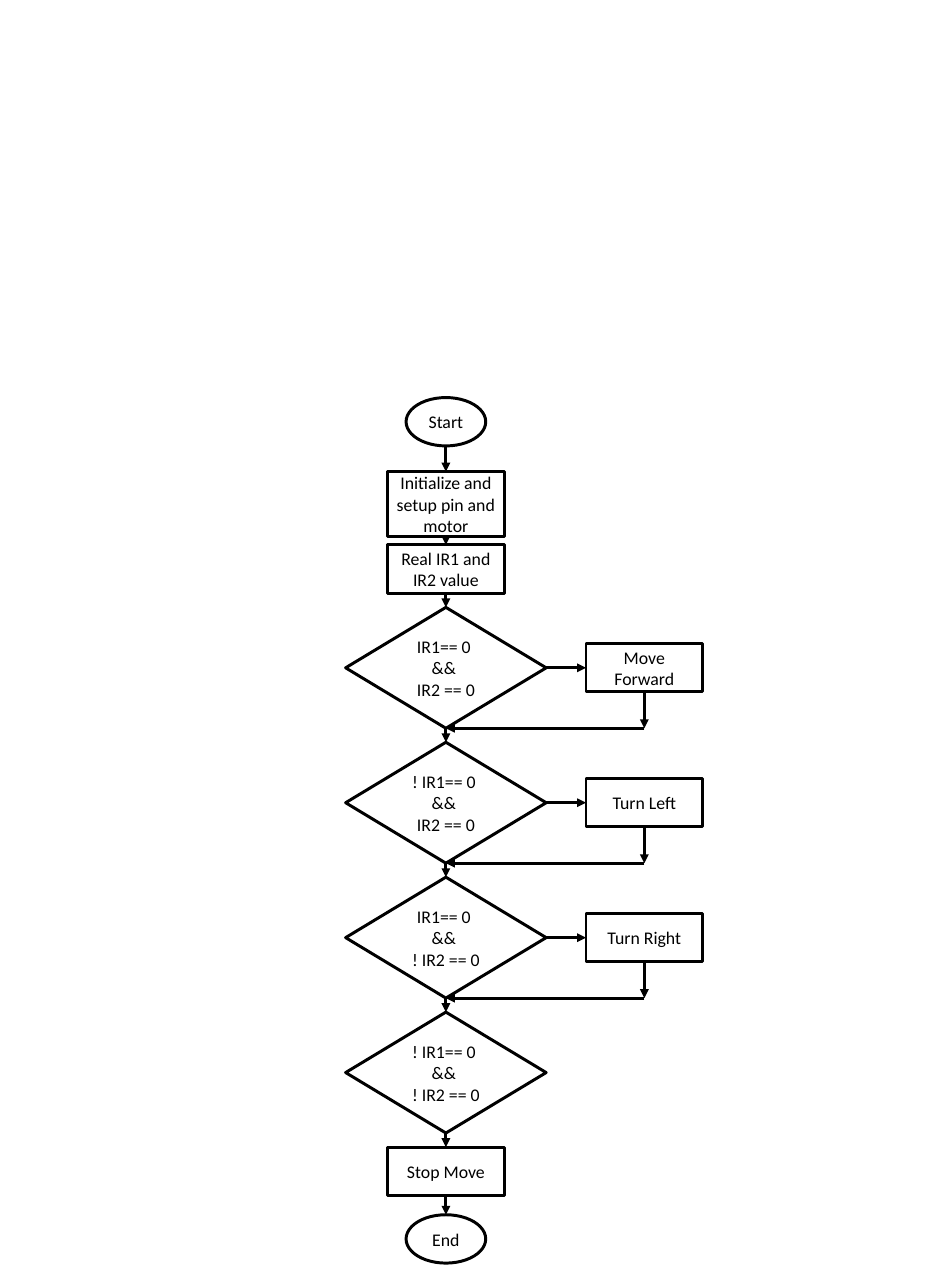
"""Flowchart of a line-following robot with two IR sensors."""
from lxml import etree
from pptx import Presentation
from pptx.dml.color import RGBColor
from pptx.enum import shapes, text
from pptx.oxml.ns import qn
from pptx.util import Inches, Pt

INK = {"line": "000000", "fill": "FFFFFF"}
SIZE = {"oval": (1.12, 0.68), "box": (1.64, 0.68), "tall": (1.64, 0.91), "test": (2.82, 1.7)}
FORM = {
    "oval": shapes.MSO_SHAPE.OVAL,
    "box": shapes.MSO_SHAPE.RECTANGLE,
    "tall": shapes.MSO_SHAPE.RECTANGLE,
    "test": shapes.MSO_SHAPE.DIAMOND,
}
MAIN, SIDE = 6.27, 9.06
FIRST, STEP = 8.54, 1.897
TOP, LEFT, BASE, RIGHT = range(4)
TESTS = [
    (["IR1== 0 ", "&& ", "IR2 == 0"], "Move Forward"),
    (["! IR1== 0 ", "&& ", "IR2 == 0"], "Turn Left"),
    (["IR1== 0 ", "&& ", "! IR2 == 0"], "Turn Right"),
    (["! IR1== 0 ", "&& ", "! IR2 == 0"], None),
]


def tint(key):
    """Return the named colour."""
    return RGBColor.from_string(INK[key])


def node(page, kind, mid, top, lines):
    """Add a flowchart shape centred on a column, one paragraph per line."""
    wide, high = SIZE[kind]
    item = page.shapes.add_shape(
        FORM[kind], Inches(mid - wide / 2), Inches(top), Inches(wide), Inches(high))
    item.shadow.inherit = False
    item.fill.solid()
    item.fill.fore_color.rgb = tint("fill")
    item.line.color.rgb = tint("line")
    item.line.width = Pt(3)
    frame = item.text_frame
    frame.word_wrap = True
    frame.vertical_anchor = text.MSO_ANCHOR.MIDDLE
    for i, line in enumerate(lines):
        para = frame.paragraphs[0] if i == 0 else frame.add_paragraph()
        para.alignment = text.PP_ALIGN.CENTER
        run = para.add_run()
        run.text = line
        run.font.name = "Calibri"
        run.font.size = Pt(18)
        run.font.color.rgb = tint("line")
    return item


def spot(item, side):
    """Return the middle of one side of a shape."""
    x, y, w, h = item.left, item.top, item.width, item.height
    return [(x + w // 2, y), (x, y + h // 2), (x + w // 2, y + h), (x + w, y + h // 2)][side]


def arrow(page, start, end):
    """Draw an arrow between two points."""
    line = page.shapes.add_connector(shapes.MSO_CONNECTOR.STRAIGHT, *start, *end)
    line.line.color.rgb = tint("line")
    line.line.width = Pt(3)
    props = line.line._get_or_add_ln()
    etree.SubElement(props, qn("a:tailEnd"), type="triangle")
    etree.SubElement(line._element.spPr, qn("a:effectLst"))
    return line


def join(page, one, out, two, into):
    """Draw an arrow from a side of one shape to a side of another."""
    line = arrow(page, spot(one, out), spot(two, into))
    if one.auto_shape_type != FORM["oval"]:
        line.begin_connect(one, out)
    line.end_connect(two, into)


def branch(page, test, top, label):
    """Add the action beside a test and its arrows back to the main column."""
    drop = (SIZE["test"][1] - SIZE["box"][1]) / 2
    act = node(page, "box", SIDE, top + drop, [label])
    join(page, test, RIGHT, act, LEFT)
    back = spot(test, BASE)
    turn = (spot(act, BASE)[0], back[1])
    arrow(page, spot(act, BASE), turn).begin_connect(act, BASE)
    arrow(page, turn, back).end_connect(test, BASE)


def main():
    """Build the flowchart and save it."""
    deck = Presentation()
    deck.slide_width, deck.slide_height = Inches(13.33), Inches(18.11)
    page = deck.slides.add_slide(deck.slide_layouts[6])
    flow = [
        node(page, "oval", MAIN, 5.59, ["Start"]),
        node(page, "tall", MAIN, 6.63, ["Initialize and setup pin and motor"]),
        node(page, "box", MAIN, 7.66, ["Real IR1 and IR2 value"]),
    ]
    for i, (lines, label) in enumerate(TESTS):
        top = FIRST + i * STEP
        test = node(page, "test", MAIN, top, lines)
        flow.append(test)
        if label:
            branch(page, test, top, label)
    flow.append(node(page, "box", MAIN, FIRST + len(TESTS) * STEP, ["Stop Move"]))
    flow.append(node(page, "oval", MAIN, 17.08, ["End"]))
    for one, two in zip(flow, flow[1:]):
        join(page, one, BASE, two, TOP)
    deck.save("out.pptx")


if __name__ == "__main__":
    main()
